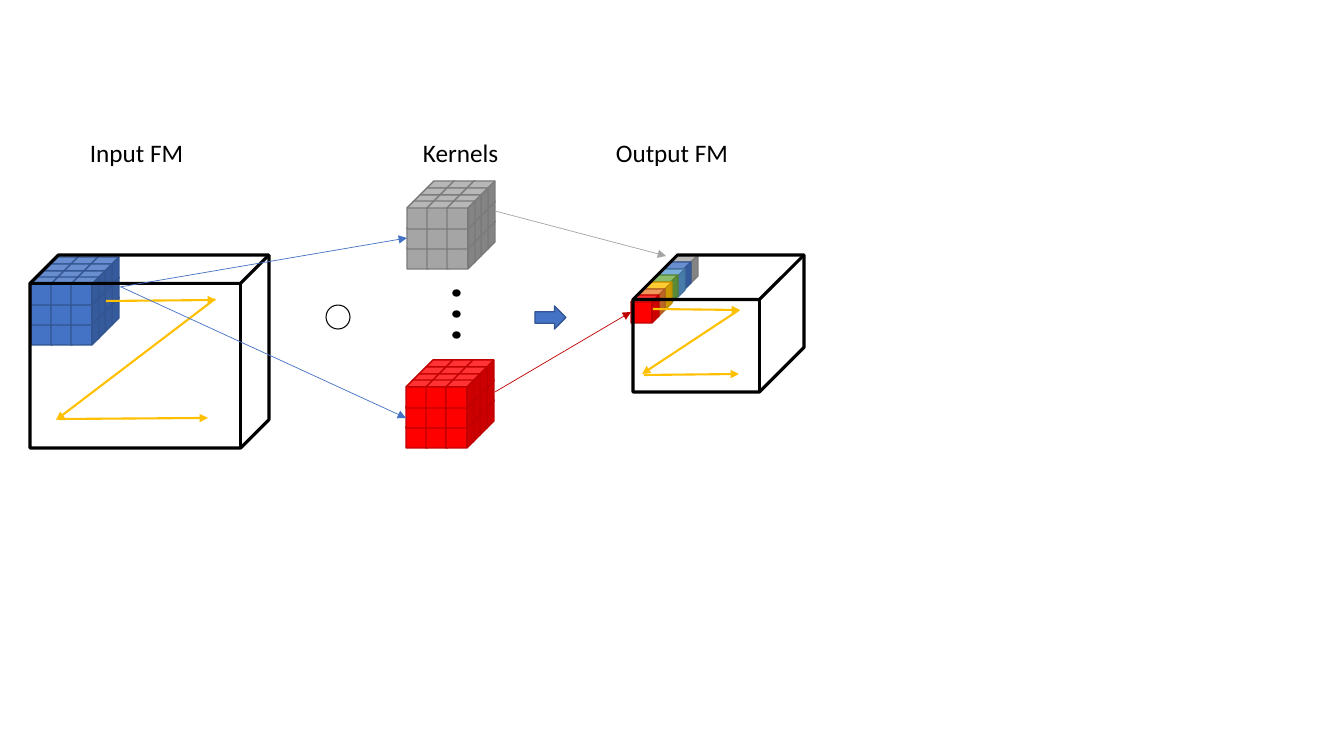
"""Build the convolution slide: input feature map, kernels and output feature map."""
from lxml import etree
from pptx import Presentation
from pptx.dml.color import RGBColor
from pptx.enum.shapes import MSO_CONNECTOR, MSO_SHAPE
from pptx.oxml.ns import qn
from pptx.util import Pt

PX = 914400 / 100.8
CUBE, OVAL, ARROW = MSO_SHAPE.CUBE, MSO_SHAPE.OVAL, MSO_SHAPE.RIGHT_ARROW
STRAIGHT = MSO_CONNECTOR.STRAIGHT
BLACK, RED, DARK_RED, GOLD = "000000", "FF0000", "C00000", "FFC000"
GREY, DARK_GREY, BLUE, DARK_BLUE = "A5A5A5", "7A7A7A", "4472C4", "325491"
SIDE, PITCH, DEPTH_SHIFT = 28, 20, 20

prs = Presentation()
prs.slide_width, prs.slide_height = round(1344 * PX), round(756 * PX)
slide = prs.slides.add_slide(prs.slide_layouts[6])


def emu(*lengths):
    return [round(length * PX) for length in lengths]


def add_shape(kind, box, fill, line, width=1):
    sp = slide.shapes.add_shape(kind, *emu(*box))
    sp.shadow.inherit = False
    if fill:
        sp.fill.solid()
        sp.fill.fore_color.rgb = RGBColor.from_string(fill)
    else:
        sp.fill.background()
    sp.line.color.rgb = RGBColor.from_string(line)
    sp.line.width = Pt(width)
    return sp


output_colors = [
    (RED, DARK_RED), ("ED7D31", "AF5C24"), (GOLD, "BD8E00"), ("70AD47", "538035"),
    ("5B9BD5", "43739E"), (BLUE, DARK_BLUE), (GREY, DARK_GREY),
]
for i, (fill, line) in reversed(list(enumerate(output_colors))):
    add_shape(CUBE, (631 + 13 * i // 2, 295 - 20 * i // 3, SIDE, SIDE), fill, line)

blocks = [(31, 277, BLUE, DARK_BLUE), (406, 380, RED, DARK_RED), (407, 201, GREY, DARK_GREY)]
for x, y, fill, line in blocks:
    for depth in (3, 2, 1, 0):
        shift = DEPTH_SHIFT * depth // 3
        for row in (2, 1, 0):
            for col in (0, 1, 2):
                if depth == 0 or row == 0 or col == 2:
                    box = (x + PITCH * col + shift, y + PITCH * row - shift, SIDE, SIDE)
                    add_shape(CUBE, box, fill, line)

for box, depth in [((30, 255, 239, 193), 0.147), ((633, 255, 171, 137), 0.325)]:
    sp = add_shape(CUBE, box, None, BLACK, 2.25)
    sp.adjustments[0] = depth

for y in (290, 311, 332):
    add_shape(OVAL, (453, y, 7, 6), BLACK, BLACK)
add_shape(OVAL, (326, 305, 24, 24), None, BLACK, 0.75)
add_shape(ARROW, (535, 306, 31, 23), BLUE, DARK_BLUE)

arrows = [
    ((106, 301, 216, 300), GOLD, 1.5),
    ((215, 299, 56, 420), GOLD, 1.5),
    ((59, 419, 208, 418), GOLD, 1.5),
    ((653, 309, 740, 310), GOLD, 1.5),
    ((739, 310, 642, 374), GOLD, 1.5),
    ((644, 375, 739, 374), GOLD, 1.5),
    ((495, 392, 631, 312), DARK_RED, 0.5),
    ((495, 211, 666, 256), GREY, 0.5),
    ((120, 287, 407, 238), BLUE, 0.5),
    ((121, 287, 406, 418), BLUE, 0.5),
]
for ends, color, width in arrows:
    cxn = slide.shapes.add_connector(STRAIGHT, *emu(*ends))
    cxn.line.color.rgb = RGBColor.from_string(color)
    cxn.line.width = Pt(width)
    etree.SubElement(cxn.line._get_or_add_ln(), qn("a:tailEnd"), type="triangle")
    etree.SubElement(cxn._element.spPr, qn("a:effectLst"))

font_format = {"name": "Calibri", "size": Pt(18)}
for x, text in [(80, "Input FM"), (413, "Kernels"), (606, "Output FM")]:
    tf = slide.shapes.add_textbox(*emu(x, 132, 171, 40)).text_frame
    tf.word_wrap = True
    r = tf.paragraphs[0].add_run()
    r.text = text
    for key, value in font_format.items():
        setattr(r.font, key, value)
    r.font.color.rgb = RGBColor.from_string(BLACK)

prs.save("out.pptx")
